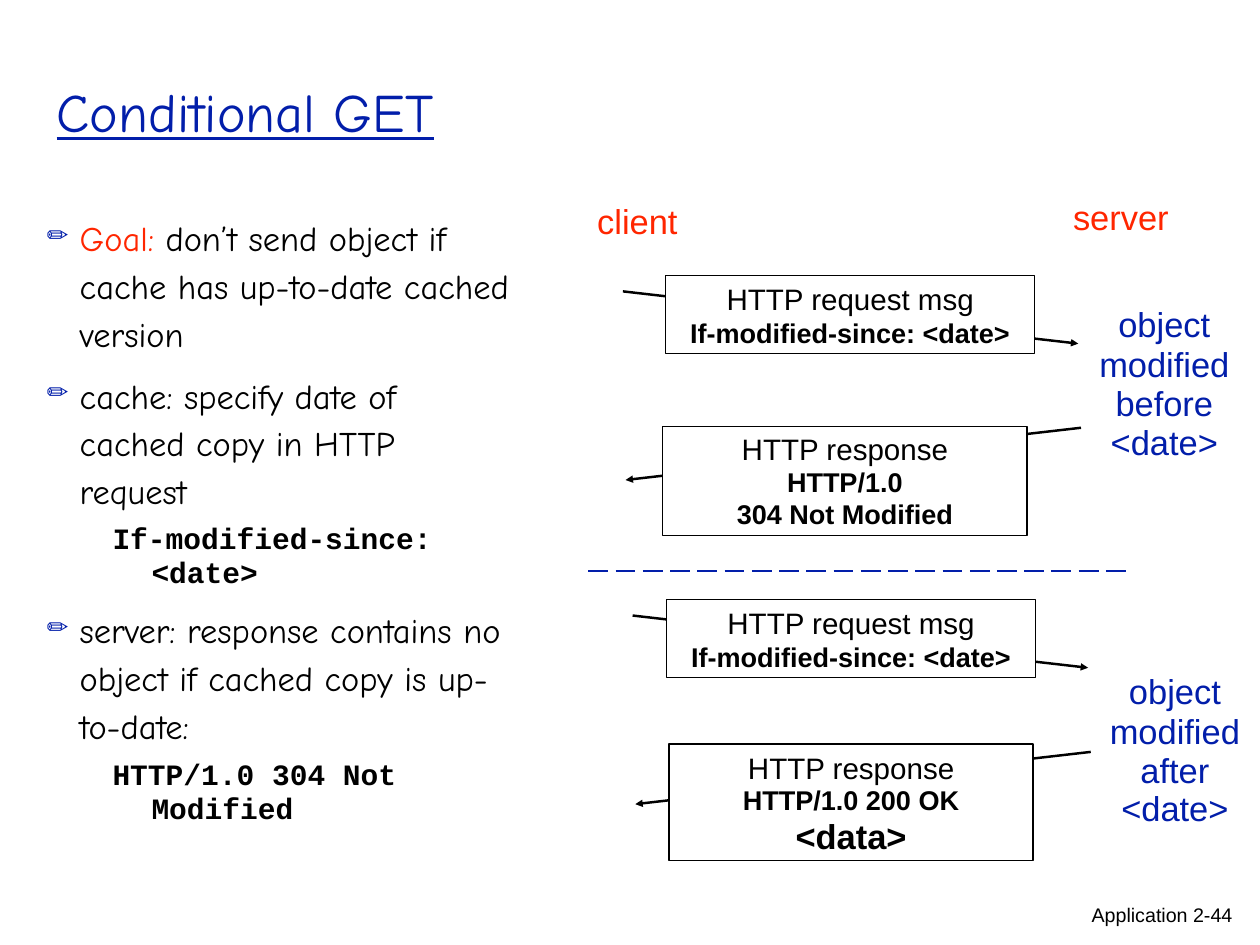
from dataclasses import dataclass
from typing import Any, Optional

import lxml.etree
import pptx
import pptx.dml.color
import pptx.enum.dml
import pptx.enum.shapes
import pptx.enum.text
import pptx.oxml.ns
import pptx.util

Inches = pptx.util.Inches
Pt = pptx.util.Pt
RGBColor = pptx.dml.color.RGBColor
qn = pptx.oxml.ns.qn

BLUE = RGBColor(0x02, 0x1E, 0xAA)
RED = RGBColor(0xFF, 0x26, 0x00)
BLACK = RGBColor(0x00, 0x00, 0x00)
WHITE = RGBColor(0xFF, 0xFF, 0xFF)

HAND, SANS, CODE = "Comic Neue", "Arial", "Courier New"
LEFT = pptx.enum.text.PP_ALIGN.LEFT
MID = pptx.enum.text.PP_ALIGN.CENTER
RUN, DROP = 5.14, 0.59  # span of every message arrow


@dataclass
class Run:
    text: str
    size: float
    font: str = SANS
    color: RGBColor = BLACK
    bold: bool = False
    line: bool = False


@dataclass
class Para:
    runs: list[Run]
    lead: Optional[float] = None  # points, or a multiple when below 3
    gap: float = 0
    left: float = 0
    mark: bool = False


@dataclass
class Label:
    rect: tuple[float, float, float, float]
    paras: list[Para]
    align: Any = LEFT
    pad: float = 0.02


@dataclass
class Message:
    rect: tuple[float, float, float, float]
    paras: list[Para]
    start: tuple[float, float]
    ask: bool  # runs from client to server
    pad: float = 0.07


def apply(thing: Any, form: dict[str, Any]) -> None:
    for key, value in form.items():
        setattr(thing, key, value)


def add_mark(para: Any) -> None:
    props = para._p.get_or_add_pPr()
    props.set("indent", str(Inches(-0.37)))
    tint = lxml.etree.SubElement(props, qn("a:buClr"))
    lxml.etree.SubElement(tint, qn("a:srgbClr"), val=str(BLUE))
    lxml.etree.SubElement(props, qn("a:buSzPct"), val="75000")
    lxml.etree.SubElement(props, qn("a:buChar"), char="✏")


def write(frame: Any, paras: list[Para], align: Any, pad: float) -> None:
    apply(frame, {"word_wrap": True, "margin_left": 0, "margin_right": 0,
                  "margin_top": Inches(pad), "margin_bottom": 0,
                  "vertical_anchor": pptx.enum.text.MSO_ANCHOR.TOP})
    for spot, item in enumerate(paras):
        para = frame.add_paragraph() if spot else frame.paragraphs[0]
        para._p.get_or_add_pPr().set("marL", str(Inches(item.left)))
        if item.mark:
            add_mark(para)
        lead = item.lead
        apply(para, {"alignment": align, "space_before": Pt(item.gap),
                     "line_spacing": Pt(lead) if lead and lead > 3 else lead})
        for part in item.runs:
            for row, text in enumerate(part.text.split("\n")):
                if row:
                    para.add_line_break()
                run = para.add_run()
                run.text = text
                apply(run.font, {"size": Pt(part.size), "name": part.font,
                                 "bold": part.bold, "underline": part.line})
                run.font.color.rgb = part.color


def add_label(slide: Any, label: Label) -> None:
    box = slide.shapes.add_textbox(*map(Inches, label.rect))
    write(box.text_frame, label.paras, label.align, label.pad)


def add_box(slide: Any, rect: tuple[float, float, float, float]) -> Any:
    box = slide.shapes.add_shape(
        pptx.enum.shapes.MSO_SHAPE.RECTANGLE, *map(Inches, rect))
    box.shadow.inherit = False
    box.fill.solid()
    box.fill.fore_color.rgb = WHITE
    box.line.color.rgb = BLACK
    box.line.width = Pt(1)
    return box


def add_line(slide: Any, ends: tuple[float, ...], color: RGBColor) -> Any:
    line = slide.shapes.add_connector(
        pptx.enum.shapes.MSO_CONNECTOR.STRAIGHT, *map(Inches, ends))
    line.line.color.rgb = color
    line.line.width = Pt(2)
    lxml.etree.SubElement(line._element.spPr, qn("a:effectLst"))
    return line


def add_message(slide: Any, note: Message) -> None:
    x, y = note.start
    end = x + RUN if note.ask else x - RUN
    line = add_line(slide, (x, y, end, y + DROP), BLACK)
    lxml.etree.SubElement(line.line._get_or_add_ln(), qn("a:tailEnd"), type="triangle")
    box = add_box(slide, note.rect)
    write(box.text_frame, note.paras, MID, note.pad)


# Text builders
def point(runs: list[Run], gap: float = 0) -> Para:
    return Para(runs, 1.16, gap, 0.41, True)


def code(first: str, second: str, gap: float) -> list[Para]:
    return [Para([Run(first, 24, CODE, bold=True)], 27.9, gap, 0.78),
            Para([Run(second, 24, CODE, bold=True)], 27.9, 0, 1.22)]


def head(text: str) -> Para:
    return Para([Run(text, 24)], 28.4)


def strong(text: str, size: float = 22, lead: float = 26) -> Para:
    return Para([Run(text, size, bold=True)], lead)


def state(x: float, y: float, when: str) -> Label:
    return Label((x, y, 1.5, 1.83), [
        Para([Run(f"object\nmodified\n{when}", 28, color=BLUE)], 32),
        Para([Run("<date>", 28, color=BLUE)], 31.2)], MID, 0.1)


GOALS = [
    point([Run("Goal: ", 28, HAND, RED),
           Run("don’t send object if\ncache has up-to-date cached\nversion", 28, HAND)]),
    point([Run("cache: specify date of\ncached copy in HTTP\nrequest", 28, HAND)], 10.9),
    *code("If-modified-since:", "<date>", 7.4),
    point([Run("server: response contains no\nobject if cached copy is up-\nto-date:", 28, HAND)],
          10.8),
    *code("HTTP/1.0 304 Not", "Modified", 8.4),
]
QUERY = [head("HTTP request msg"), strong("If-modified-since: <date>")]

LABELS = [
    Label((0.64, 0.86, 4.54, 0.76),
          [Para([Run("Conditional GET", 44, HAND, BLUE, line=True)])]),
    Label((0.49, 2.36, 5.66, 6.97), GOALS),
    Label((6.74, 2.24, 0.94, 0.49), [Para([Run("client", 28, color=RED)])]),
    Label((12.11, 2.19, 1.11, 0.49), [Para([Run("server", 28, color=RED)])]),
    state(12.39, 3.35, "before"),
    state(12.51, 7.49, "after"),
    Label((12.32, 10.2, 1.68, 0.28), [Para([Run("Application 2-44", 16)], 18.7)], pad=0),
]
NOTES = [
    Message((7.51, 3.11, 4.17, 0.88), QUERY, (7.03, 3.29), True),
    Message((7.48, 4.82, 4.11, 1.23),
            [head("HTTP response"), strong("HTTP/1.0"), strong("304 Not Modified")],
            (12.2, 4.83), False, 0.05),
    Message((7.52, 6.77, 4.17, 0.88), QUERY, (7.14, 6.95), True),
    Message((7.55, 8.4, 4.11, 1.32),
            [head("HTTP response"), strong("HTTP/1.0 200 OK", lead=25.3),
             strong("<data>", 28, 32.9)],
            (12.31, 8.49), False),
]


def main() -> None:
    deck = pptx.Presentation()
    apply(deck, {"slide_width": Inches(14.22), "slide_height": Inches(10.67)})
    slide = deck.slides.add_slide(deck.slide_layouts[6])

    # Messages between client and server
    for note in NOTES:
        add_message(slide, note)

    # Rule between the two cases
    rule = add_line(slide, (6.64, 6.45, 12.71, 6.45), BLUE)
    rule.line.dash_style = pptx.enum.dml.MSO_LINE.LONG_DASH

    # Title, goals and labels
    for label in LABELS:
        add_label(slide, label)
    deck.save("out.pptx")


if __name__ == "__main__":
    main()
